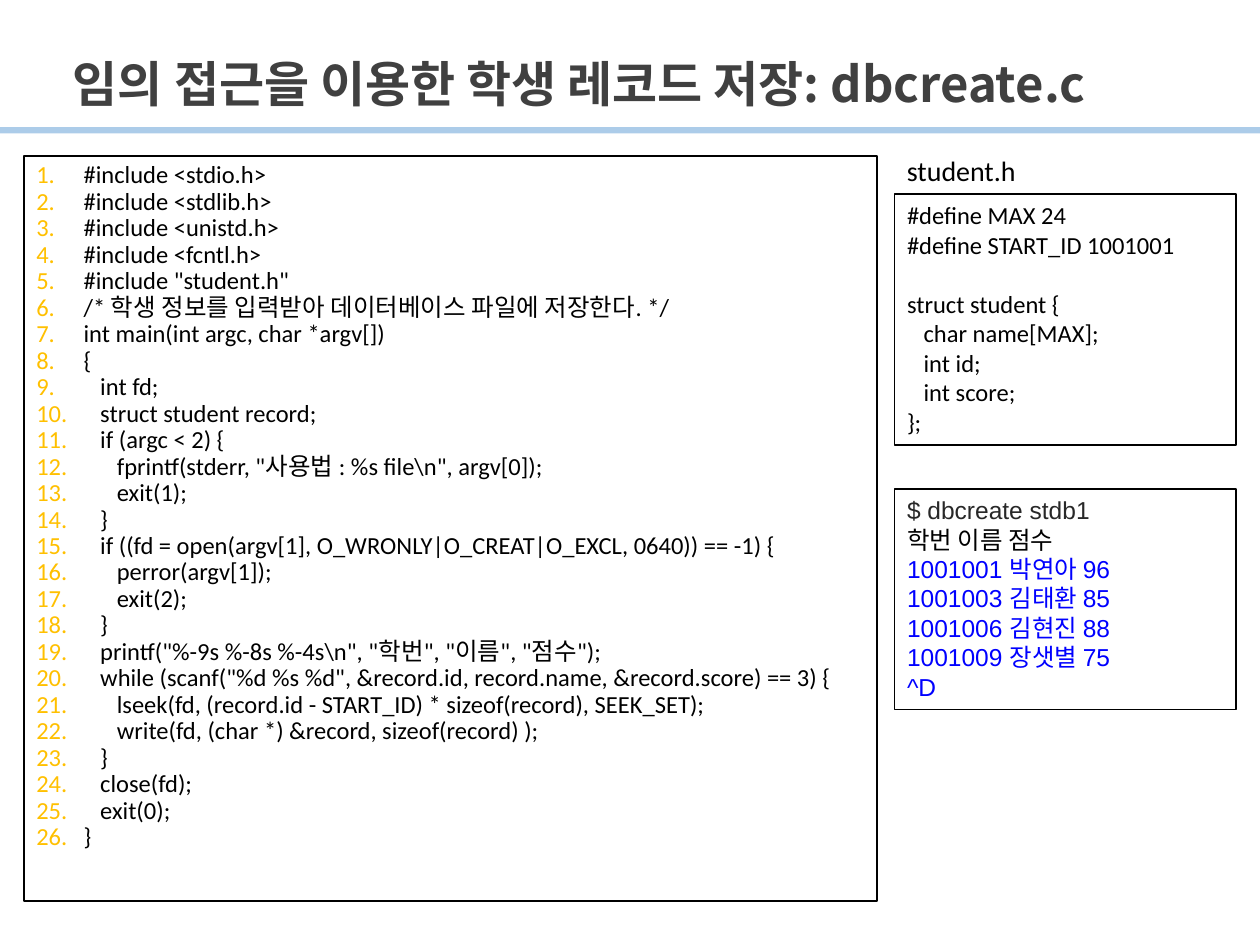
"""Build the slide on storing student records by random access."""
from lxml.etree import SubElement
from pptx import Presentation
from pptx.dml.color import RGBColor as RGB
from pptx.enum.shapes import MSO_SHAPE as SHAPE
from pptx.enum.text import MSO_ANCHOR as ANCHOR, MSO_AUTO_SIZE as AUTO, PP_ALIGN as ALIGN
from pptx.oxml.ns import qn
from pptx.util import Pt

COLORS = {
    "title": "404040", "bar": "5B9BD5", "text": "000000", "paper": "FFFFFF",
    "number": "FFC000", "command": "282828", "input": "0000FF",
}
KOREAN = "Noto Sans CJK KR"
CODE_STEP = 9.5
NUMBER_GAP = 27
SIDE_X, SIDE_W = 511.2, 195.1

SOURCE = r'''#include <stdio.h>
#include <stdlib.h>
#include <unistd.h>
#include <fcntl.h>
#include "student.h"
/* 학생 정보를 입력받아 데이터베이스 파일에 저장한다. */
int main(int argc, char *argv[])
{
   int fd;
   struct student record;
   if (argc < 2) {
      fprintf(stderr, "사용법 : %s file\n", argv[0]);
      exit(1);
   }
   if ((fd = open(argv[1], O_WRONLY|O_CREAT|O_EXCL, 0640)) == -1) {
      perror(argv[1]);
      exit(2);
   }
   printf("%-9s %-8s %-4s\n", "학번", "이름", "점수");
   while (scanf("%d %s %d", &record.id, record.name, &record.score) == 3) {
      lseek(fd, (record.id - START_ID) * sizeof(record), SEEK_SET);
      write(fd, (char *) &record, sizeof(record) );
   }
   close(fd);
   exit(0);
}'''

HEADER = """#define MAX 24
#define START_ID 1001001

struct student {
   char name[MAX];
   int id;
   int score;
};"""

SESSION = [
    ("$ dbcreate stdb1", "command"),
    ("학번 이름 점수", "text"),
    ("1001001 박연아 96", "input"),
    ("1001003 김태환 85", "input"),
    ("1001006 김현진 88", "input"),
    ("1001009 장샛별 75", "input"),
    ("^D", "input"),
]


def rgb(name):
    """Return a named colour."""
    return RGB.from_string(COLORS[name])


def write(p, text, size, font, color="text", bold=False):
    """Set a paragraph's text and format its run."""
    p.text = text
    p.alignment = ALIGN.LEFT
    r = p.runs[0]
    r.font.size, r.font.name, r.font.bold = Pt(size), font, bold
    r.font.color.rgb = rgb(color)
    SubElement(r.font._element, qn("a:ea")).set("typeface", KOREAN)


def add_lines(tf, count):
    """Return the given number of paragraphs of an empty frame."""
    return [tf.paragraphs[0]] + [tf.add_paragraph() for _ in range(count - 1)]


def add_label(slide, box, text, size, font, **style):
    """Add a one-line text box and return its frame."""
    tf = slide.shapes.add_textbox(*map(Pt, box)).text_frame
    tf.word_wrap = True
    write(tf.paragraphs[0], text, size, font, **style)
    return tf


def add_rect(slide, box, fill):
    """Add a plain filled rectangle."""
    sp = slide.shapes.add_shape(SHAPE.RECTANGLE, *map(Pt, box))
    sp.shadow.inherit = False
    sp.fill.solid()
    sp.fill.fore_color.rgb = rgb(fill)
    sp.line.fill.background()
    return sp


def add_bar(slide, box):
    """Add the half-transparent bar below the title."""
    sp = add_rect(slide, box, "bar")
    color = sp._element.spPr.find(qn("a:solidFill"))[0]
    SubElement(color, qn("a:alpha")).set("val", "50000")


def add_panel(slide, box, grow=True):
    """Add a white outlined panel and return its text frame."""
    sp = add_rect(slide, box, "paper")
    sp.line.color.rgb = rgb("text")
    sp.line.width = Pt(1)
    tf = sp.text_frame
    tf.word_wrap = True
    tf.vertical_anchor = ANCHOR.TOP
    tf.auto_size = AUTO.SHAPE_TO_FIT_TEXT if grow else AUTO.NONE
    return tf


def number_line(p):
    """Number a paragraph, its number hanging at the left edge."""
    pPr = p._p.get_or_add_pPr()
    pPr.set("indent", str(-int(pPr.get("marL"))))
    color = SubElement(pPr, qn("a:buClr"))
    SubElement(color, qn("a:srgbClr")).set("val", COLORS["number"])
    SubElement(pPr, qn("a:buFont")).set("typeface", "Calibri")
    SubElement(pPr, qn("a:buAutoNum")).set("type", "arabicPeriod")


def add_code(tf, code, numbered=False):
    """Write code with real indents, turning empty lines into spacing."""
    lines = code.splitlines()
    filled = [(i, line) for i, line in enumerate(lines) if line]
    for p, (i, line) in zip(add_lines(tf, len(filled)), filled):
        text = line.lstrip()
        level = (len(line) - len(text)) // 3
        write(p, text, 14, "Calibri")
        margin = level * CODE_STEP + (NUMBER_GAP if numbered else 0)
        p._p.get_or_add_pPr().set("marL", str(Pt(margin)))
        if i and not lines[i - 1]:
            p.space_before = Pt(17)
        if numbered:
            p.line_spacing = 0.9
            number_line(p)


def add_session(tf):
    """Write the terminal session."""
    for p, (text, color) in zip(add_lines(tf, len(SESSION)), SESSION):
        write(p, text, 14, "Arial", color)


def main():
    """Build and save the slide."""
    prs = Presentation()
    prs.slide_width, prs.slide_height = Pt(720), Pt(540)
    slide = prs.slides.add_slide(prs.slide_layouts[6])
    add_bar(slide, (0, 72.7, 720, 3.6))
    title = add_label(slide, (34.6, 10.8, 652.3, 57.6),
                      "임의 접근을 이용한 학생 레코드 저장: dbcreate.c",
                      28, KOREAN, color="title", bold=True)
    title.vertical_anchor = ANCHOR.BOTTOM
    title.paragraphs[0].line_spacing = 0.9
    add_code(add_panel(slide, (13.7, 89.3, 487.4, 425.5), grow=False), SOURCE, numbered=True)
    add_code(add_panel(slide, (SIDE_X, 110.9, SIDE_W, 143.3)), HEADER)
    add_session(add_panel(slide, (SIDE_X, 279.4, SIDE_W, 126)))
    add_label(slide, (SIDE_X, 84.2, 91.4, 26.6), "student.h", 16, "Calibri")
    prs.save("out.pptx")


if __name__ == "__main__":
    main()
